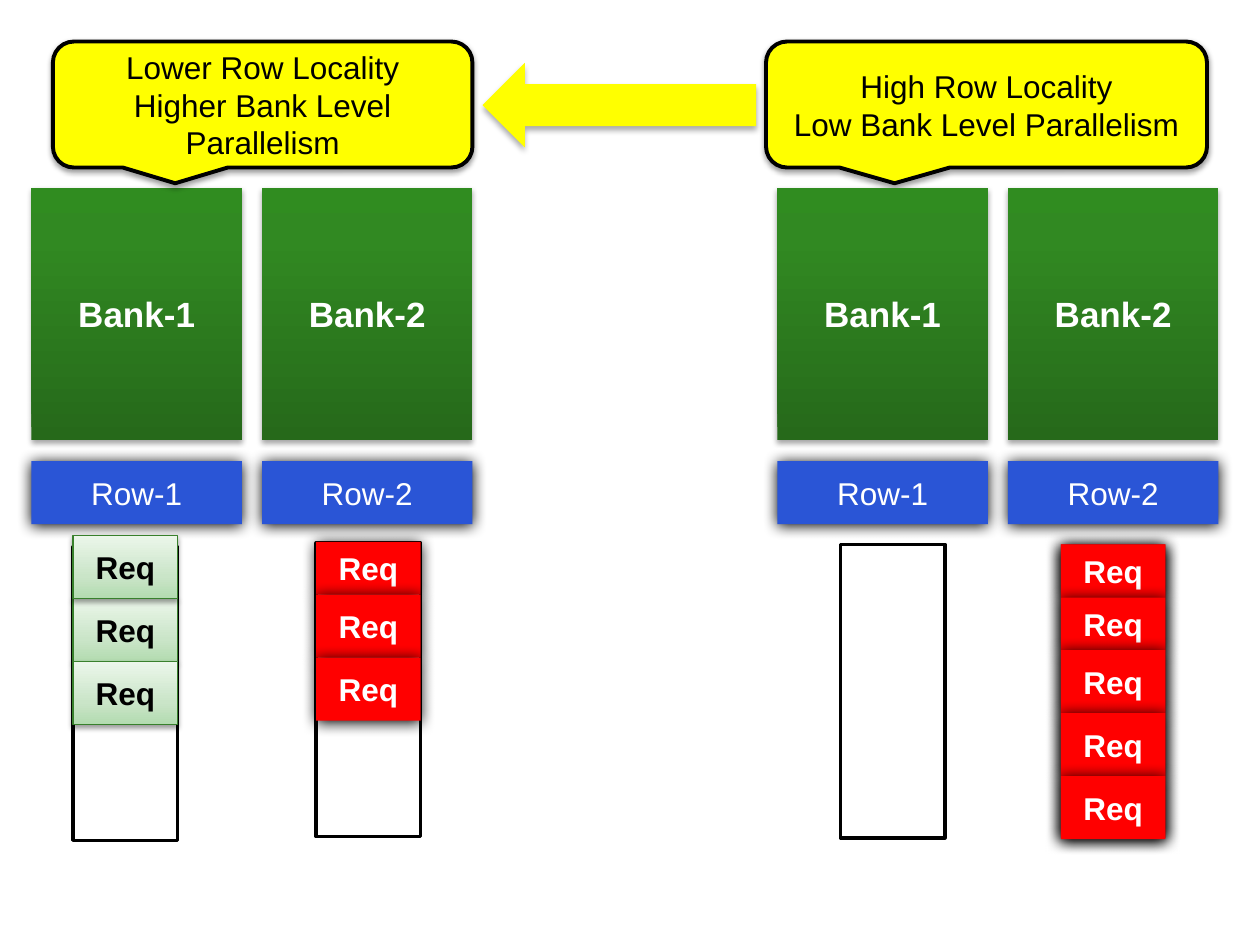
import pptx
import pptx.dml.color
import pptx.enum.shapes
import pptx.enum.text
import pptx.oxml
import pptx.oxml.ns
import pptx.util
from pptx.util import Inches

KIND = pptx.enum.shapes.MSO_SHAPE


class Theme:
    font = "Arial"
    black, white = "000000", "FFFFFF"
    yellow, blue, red = "FFFF00", "2A55D6", "FF0000"
    # Gradient stops run from the bottom edge to the top
    bank = [(0, "26691A"), (80, "318922"), (100, "308C20")]
    mint = [(0, "B3DBB0"), (35, "CAE5C8"), (100, "EBF6EA")]
    edge = "38802C"
    body, head = 18, 20
    # Shadows: opacity %, blur pt, distance pt
    soft, firm = (38, 3.1, 1.6), (35, 3.1, 1.8)
    glow, cast = (100, 8.5, 1), (32, 3.5, 2.2)


def color(code):
    return pptx.dml.color.RGBColor.from_string(code)


def node(tag, inner="", **attrs):
    pairs = " ".join(f'{key}="{val}"' for key, val in attrs.items())
    space = pptx.oxml.ns.nsdecls("a")
    return pptx.oxml.parse_xml(f"<a:{tag} {space} {pairs}>{inner}</a:{tag}>")


def paint(shape, fill):
    if isinstance(fill, str):
        shape.fill.solid()
        shape.fill.fore_color.rgb = color(fill)
        return
    shape.fill.gradient()
    shape.fill.gradient_angle = 90
    stops = shape._element.spPr.find(".//" + pptx.oxml.ns.qn("a:gsLst"))
    for stop in list(stops):
        stops.remove(stop)
    for place, code in fill:
        stops.append(node("gs", f'<a:srgbClr val="{code}"/>', pos=place * 1000))


def shade(shape, look):
    shape.shadow.inherit = False
    if look:
        alpha, blur, dist = look
        tint = (f'<a:srgbClr val="{Theme.black}">'
                f'<a:alpha val="{alpha * 1000}"/></a:srgbClr>')
        effects = shape._element.spPr.find(pptx.oxml.ns.qn("a:effectLst"))
        effects.append(node("outerShdw", tint, blurRad=pptx.util.Pt(blur),
                            dist=pptx.util.Pt(dist), dir=5400000, rotWithShape=0))


def write(shape, lines, ink, size, bold):
    frame = shape.text_frame
    form = {"word_wrap": True,
            "vertical_anchor": pptx.enum.text.MSO_ANCHOR.MIDDLE}
    for key, val in form.items():
        setattr(frame, key, val)
    frame.text = "\n".join(lines)
    form = {"name": Theme.font, "size": pptx.util.Pt(size), "bold": bold}
    for para in frame.paragraphs:
        para.alignment = pptx.enum.text.PP_ALIGN.CENTER
        for key, val in form.items():
            setattr(para.font, key, val)
        para.font.color.rgb = color(ink)


def block(slide, at, fill, kind=KIND.RECTANGLE, line=None, shadow=None,
          lines=(), ink=Theme.white, size=Theme.body, bold=False):
    shape = slide.shapes.add_shape(kind, *map(Inches, at))
    paint(shape, fill)
    if line:
        code, width = line
        shape.line.color.rgb = color(code)
        shape.line.width = pptx.util.Pt(width)
    else:
        shape.line.fill.background()
    shade(shape, shadow)
    if lines:
        write(shape, lines, ink, size, bold)
    return shape


def callout(slide, left, width, lines):
    block(slide, (left, 0.33, width, 1), Theme.yellow,
          KIND.ROUNDED_RECTANGULAR_CALLOUT, (Theme.black, 2.25),
          Theme.soft, lines, Theme.black)


def banks(slide, left):
    for i in range(2):
        x = left + i * 1.83
        block(slide, (x, 1.49, 1.67, 2), Theme.bank, shadow=Theme.firm,
              lines=[f"Bank-{i + 1}"], size=Theme.head, bold=True)
        block(slide, (x, 3.66, 1.67, 0.5), Theme.blue, shadow=Theme.glow,
              lines=[f"Row-{i + 1}"])


def queue(slide, left, top):
    block(slide, (left, top, 0.83, 2.33), Theme.white, line=(Theme.black, 2))


def stack(slide, left, top, sizes, look):
    for high in sizes:
        block(slide, (left, top, 0.83, high), lines=["Req"], bold=True, **look)
        top += high


def main():
    deck = pptx.Presentation()
    deck.slide_width, deck.slide_height = Inches(10), Inches(7.5)
    slide = deck.slides.add_slide(deck.slide_layouts[6])
    hot = {"fill": Theme.red, "shadow": Theme.glow}
    cool = {"fill": Theme.mint, "shadow": Theme.soft,
            "line": (Theme.edge, 0.75), "ink": Theme.black}

    # Banks, rows and the arrow between the two sides
    callout(slide, 6.08, 3.5, ["High Row Locality", "Low Bank Level Parallelism"])
    banks(slide, 0.25)
    arrow = block(slide, (4.58, -0.25, 0.67, 2.17), Theme.yellow,
                  KIND.DOWN_ARROW, shadow=Theme.cast)
    arrow.rotation = 90
    banks(slide, 6.17)

    # Right side: every request waits in one full queue
    block(slide, (8.42, 4.32, 0.83, 2.33), **hot)
    stack(slide, 8.42, 4.32, [0.42, 0.42, 0.5, 0.5, 0.5], hot)
    queue(slide, 6.67, 4.32)

    # Left side: requests are spread over both queues
    queue(slide, 2.51, 4.31)
    stack(slide, 2.51, 4.3, [0.42, 0.5, 0.5], hot)
    queue(slide, 0.58, 4.34)
    stack(slide, 0.58, 4.75, [0.5, 0.5], cool)
    callout(slide, 0.42, 3.33,
            ["Lower Row Locality", "Higher Bank Level Parallelism"])
    # The top request overlaps the one below it
    stack(slide, 0.58, 4.25, [0.5], cool)

    deck.save("out.pptx")


if __name__ == "__main__":
    main()
